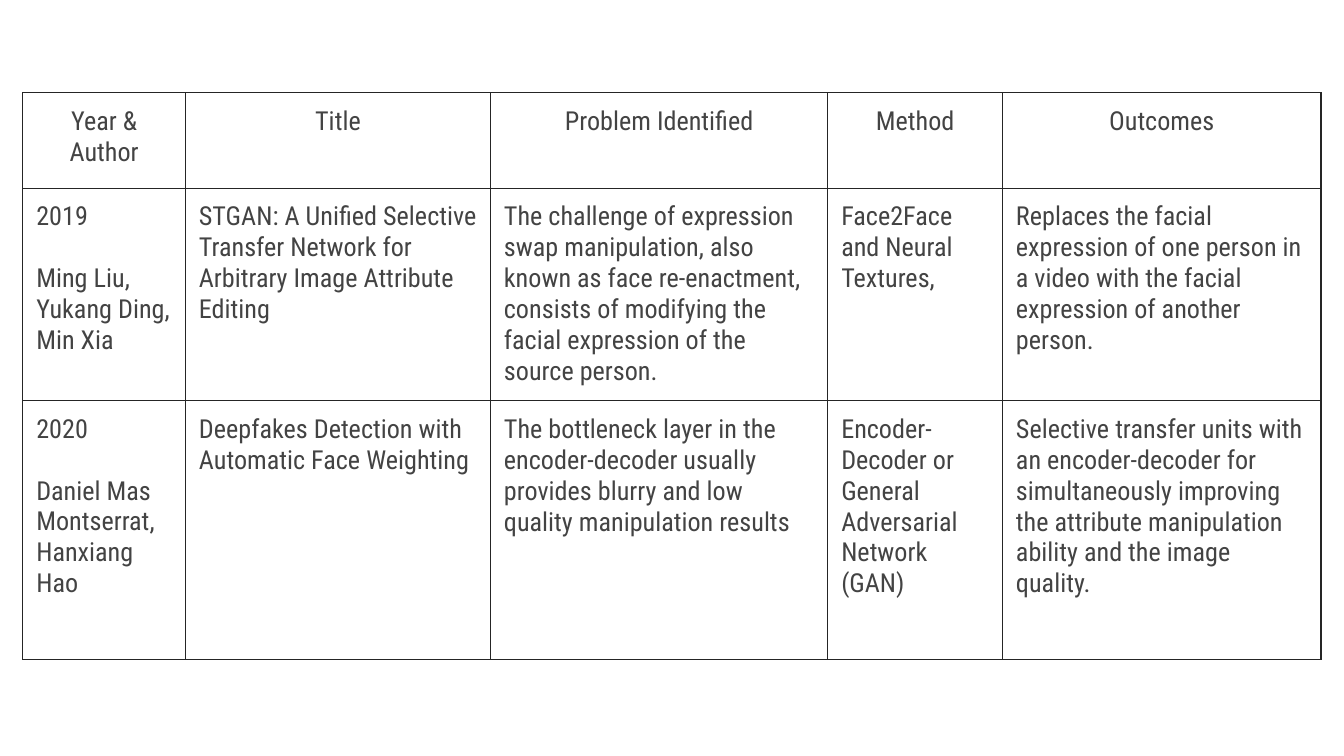
from lxml.etree import SubElement
from pptx import Presentation
from pptx.dml.color import RGBColor
from pptx.enum.text import PP_ALIGN
from pptx.oxml.ns import qn
from pptx.util import Inches, Pt

# Content: each cell is a list of paragraphs
HEADER = ["Year & Author", "Title", "Problem Identified", "Method", "Outcomes"]
PAPERS = [
    [
        ["2019", "Ming Liu, Yukang Ding, Min Xia"],
        ["STGAN: A Unified Selective Transfer Network for Arbitrary Image "
         "Attribute Editing"],
        ["The challenge of expression swap manipulation, also known as face "
         "re-enactment, consists of modifying the facial expression of the "
         "source person."],
        ["Face2Face and Neural Textures,"],
        ["Replaces the facial expression of one person in a video with the "
         "facial expression of another person."],
    ],
    [
        ["2020", "Daniel Mas Montserrat, Hanxiang Hao"],
        ["Deepfakes Detection with Automatic Face Weighting"],
        ["The bottleneck layer in the encoder-decoder usually provides blurry "
         "and low quality manipulation results"],
        ["Encoder-Decoder or General Adversarial Network (GAN)"],
        ["Selective transfer units with an encoder-decoder for simultaneously "
         "improving the attribute manipulation ability and the image quality."],
    ],
]

# Layout and style
SLIDE_WIDTH = 10
SLIDE_HEIGHT = SLIDE_WIDTH * 9 / 16
LEFT, TOP = 0.17, 0.69
COL_WIDTHS = [1.21, 2.27, 2.51, 1.3, 2.37]
ROW_HEIGHTS = [0.71, 1.42, 1.93]
MARGIN = 0.1
FONT, SIZE, LINE_GAP = "Roboto Condensed", 14, 16.5
TEXT, BORDER, BORDER_WIDTH = "434343", "252525", 0.75


def color(value):
    return RGBColor.from_string(value)


def set_borders(cell):
    tc_pr = cell._tc.get_or_add_tcPr()
    for side in ("lnL", "lnR", "lnT", "lnB"):
        ln = SubElement(tc_pr, qn(f"a:{side}"), w=str(Pt(BORDER_WIDTH)))
        fill = SubElement(ln, qn("a:solidFill"))
        SubElement(fill, qn("a:srgbClr"), val=BORDER)


def fill_cell(cell, paragraphs, align):
    cell.margin_left = cell.margin_right = Inches(MARGIN)
    cell.margin_top = cell.margin_bottom = Inches(MARGIN)
    set_borders(cell)
    cell.fill.background()
    tf = cell.text_frame
    tf.text = "\n".join(paragraphs)
    for i, p in enumerate(tf.paragraphs):
        p.alignment = align
        if i:
            p.space_before = Pt(LINE_GAP)
        for r in p.runs:
            r.font.name = FONT
            r.font.size = Pt(SIZE)
            r.font.color.rgb = color(TEXT)


prs = Presentation()
prs.slide_width, prs.slide_height = Inches(SLIDE_WIDTH), Inches(SLIDE_HEIGHT)
s = prs.slides.add_slide(prs.slide_layouts[6])

# Literature table
rows = [[[name] for name in HEADER]] + PAPERS
table = s.shapes.add_table(
    len(rows), len(HEADER), Inches(LEFT), Inches(TOP),
    Inches(sum(COL_WIDTHS)), Inches(sum(ROW_HEIGHTS))).table
table.first_row = table.horz_banding = False
for column, width in zip(table.columns, COL_WIDTHS):
    column.width = Inches(width)
for row, height in zip(table.rows, ROW_HEIGHTS):
    row.height = Inches(height)

for r_index, row in enumerate(rows):
    align = PP_ALIGN.LEFT if r_index else PP_ALIGN.CENTER
    for c_index, paragraphs in enumerate(row):
        fill_cell(table.cell(r_index, c_index), paragraphs, align)

prs.save("out.pptx")
